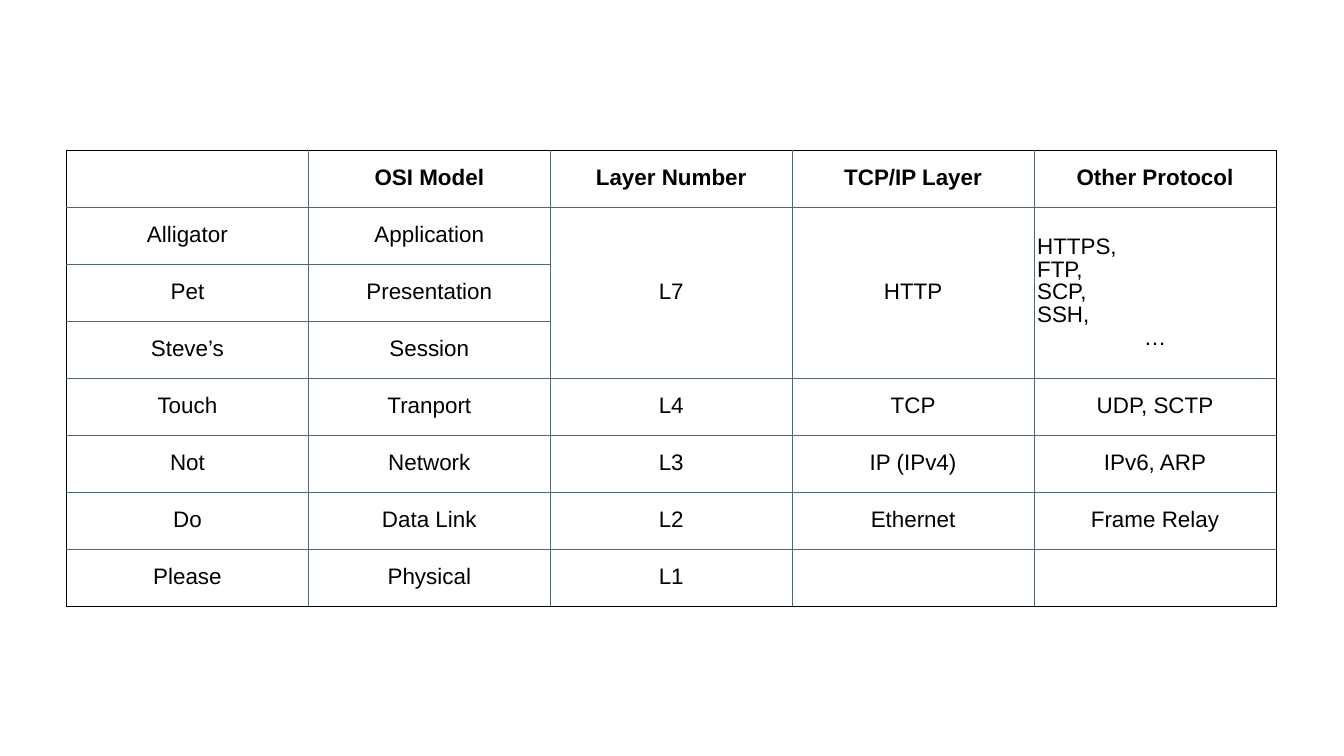
from lxml import etree
from pptx import Presentation
from pptx.dml.color import RGBColor
from pptx.enum.text import MSO_ANCHOR, PP_ALIGN
from pptx.oxml.ns import qn
from pptx.util import Inches, Pt

BLACK = RGBColor(0x00, 0x00, 0x00)
SLATE = RGBColor(0x53, 0x67, 0x73)

LAYERS = [
    ["", "OSI Model", "Layer Number", "TCP/IP Layer", "Other Protocol"],
    ["Alligator", "Application", "L7", "HTTP", "HTTPS,\nFTP,\nSCP,\nSSH,\n…"],
    ["Pet", "Presentation", "", "", ""],
    ["Steve’s", "Session", "", "", ""],
    ["Touch", "Tranport", "L4", "TCP", "UDP, SCTP"],
    ["Not", "Network", "L3", "IP (IPv4)", "IPv6, ARP"],
    ["Do", "Data Link", "L2", "Ethernet", "Frame Relay"],
    ["Please", "Physical", "L1", "", ""],
]
ROWS, COLS = len(LAYERS), len(LAYERS[0])
COL_WIDTH, ROW_HEIGHT = Inches(4.8), Inches(1.13)


def set_borders(cell, colors):
    tcPr = cell._tc.get_or_add_tcPr()
    for index, (side, color) in enumerate(zip("LRTB", colors)):
        line = etree.Element(qn(f"a:ln{side}"), w=str(Pt(1)))
        fill = etree.SubElement(line, qn("a:solidFill"))
        etree.SubElement(fill, qn("a:srgbClr"), val=str(color))
        tcPr.insert(index, line)


prs = Presentation()
prs.slide_width, prs.slide_height = Inches(26.67), Inches(15)
slide = prs.slides.add_slide(prs.slide_layouts[6])

osi_table = slide.shapes.add_table(
    ROWS, COLS, Inches(1.32), Inches(2.99), COLS * COL_WIDTH, ROWS * ROW_HEIGHT
).table
osi_table.horz_banding = False
for column in osi_table.columns:
    column.width = COL_WIDTH
for row in osi_table.rows:
    row.height = ROW_HEIGHT

for r, layer in enumerate(LAYERS):
    for c, label in enumerate(layer):
        cell = osi_table.cell(r, c)
        cell.fill.background()
        outer_sides = (c == 0, c == COLS - 1, r == 0, r == ROWS - 1)
        set_borders(cell, [BLACK if outer else SLATE for outer in outer_sides])
        cell.vertical_anchor = MSO_ANCHOR.MIDDLE
        cell.margin_left = cell.margin_right = Inches(0.06)
        cell.margin_top = cell.margin_bottom = Inches(0.06)
        if not label:
            continue
        cell.text_frame.text = label
        paragraphs = cell.text_frame.paragraphs
        for paragraph in paragraphs:
            paragraph.alignment = PP_ALIGN.LEFT
            paragraph.line_spacing = 0.9
            paragraph.space_before = Pt(0)
            font = paragraph.runs[0].font
            font.name, font.size = "Arial", Pt(32)
            font.bold = r == 0
            font.color.rgb = BLACK
        paragraphs[0].space_before = Pt(45)
        paragraphs[-1].alignment = PP_ALIGN.CENTER

for c in range(2, COLS):
    osi_table.cell(1, c).merge(osi_table.cell(3, c))

prs.save("out.pptx")
